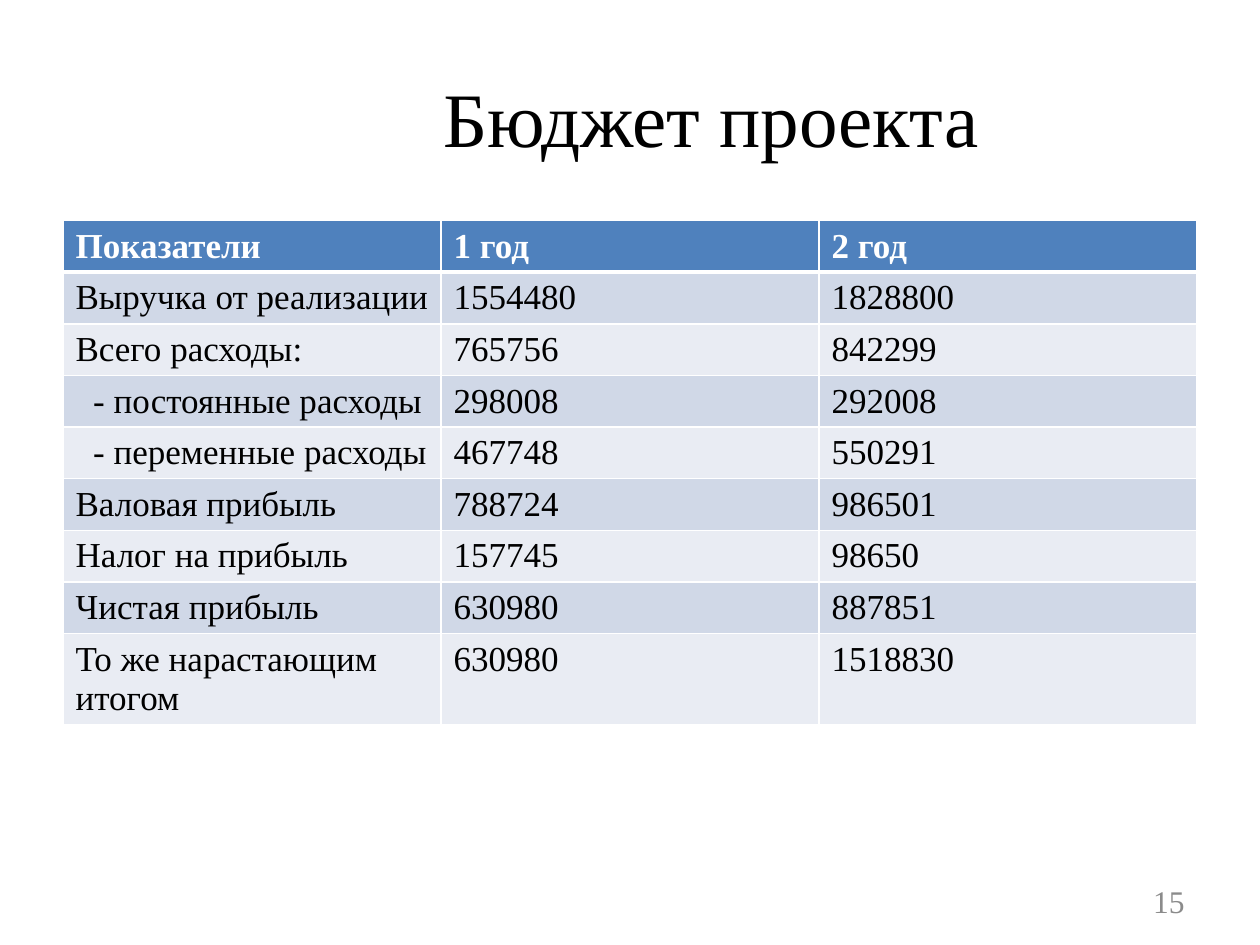
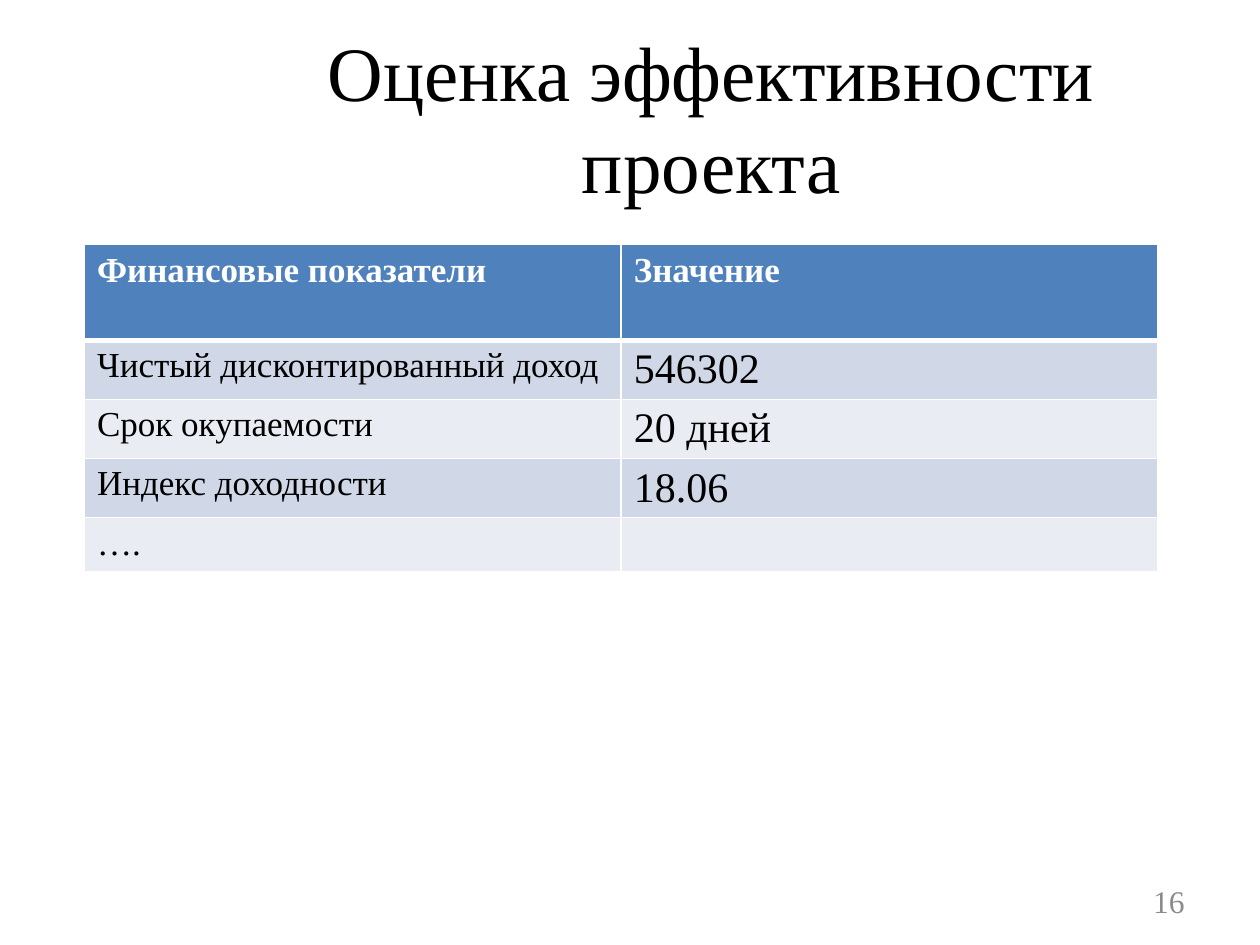
from pptx import Presentation
from pptx.dml.color import RGBColor
from pptx.enum.text import MSO_ANCHOR, MSO_AUTO_SIZE, PP_ALIGN
from pptx.oxml.ns import qn
from pptx.util import Inches, Pt
from lxml.etree import SubElement

FONT = "Times New Roman"
COLORS = {
    "text": "000000",
    "header": "4F81BD",
    "white": "FFFFFF",
    "band_dark": "D0D8E7",
    "band_light": "E9ECF3",
    "number": "8B8B8B",
}
TITLE_AREA = (1.79, 0.3, 7.71, 1.25)
NUMBER_AREA = (7.17, 6.95, 2.33, 0.4)
FIRST_NUMBER = 15
CELL_MARGIN, SUBITEM_MARGIN = 0.1, 0.24
THIN_BORDER, HEADER_BORDER = 0.96, 3

SLIDES = [
    {
        "title": "Бюджет проекта",
        "table_at": (0.5, 1.75),
        "column_width": 3,
        "row_heights": [0.41] * 8 + [0.72],
        "value_size": 20,
        "rows": [
            ("Показатели", "1 год", "2 год"),
            ("Выручка от реализации", "1554480", "1828800"),
            ("Всего расходы:", "765756", "842299"),
            ("- постоянные расходы", "298008", "292008"),
            ("- переменные расходы", "467748", "550291"),
            ("Валовая прибыль", "788724", "986501"),
            ("Налог на прибыль", "157745", "98650"),
            ("Чистая прибыль", "630980", "887851"),
            ("То же нарастающим итогом", "630980", "1518830"),
        ],
    },
    {
        "title": "Оценка эффективности проекта",
        "table_at": (0.67, 1.94),
        "column_width": 4.26,
        "row_heights": [0.76, 0.46, 0.43, 0.43, 0.43],
        "value_size": 24,
        "rows": [
            ("Финансовые показатели", "Значение"),
            ("Чистый дисконтированный доход", "546302"),
            ("Срок окупаемости", "20 дней"),
            ("Индекс доходности", "18.06"),
            ("….", ""),
        ],
    },
]


def color(name):
    return RGBColor.from_string(COLORS[name])


def write(frame, text, size, color_name, align=PP_ALIGN.LEFT, bold=False):
    para = frame.paragraphs[0]
    para.alignment = align
    span = para.add_run()
    span.text = text
    span.font.name = FONT
    span.font.size = Pt(size)
    span.font.bold = bold
    span.font.color.rgb = color(color_name)


def add_title(page, text):
    title = page.shapes.title
    title.left, title.top, title.width, title.height = map(Inches, TITLE_AREA)
    frame = title.text_frame
    frame.auto_size = MSO_AUTO_SIZE.NONE
    frame.vertical_anchor = MSO_ANCHOR.MIDDLE
    write(frame, text, 44, "text", PP_ALIGN.CENTER)


def add_page_number(page, number):
    frame = page.shapes.add_textbox(*map(Inches, NUMBER_AREA)).text_frame
    frame.word_wrap = True
    frame.vertical_anchor = MSO_ANCHOR.MIDDLE
    write(frame, str(number), 18, "number", PP_ALIGN.RIGHT)


def set_borders(cell, row_index):
    """Draw white lines, with a thick one between the header and the body."""
    widths = {
        "a:lnL": THIN_BORDER,
        "a:lnR": THIN_BORDER,
        "a:lnT": HEADER_BORDER if row_index == 1 else THIN_BORDER,
        "a:lnB": HEADER_BORDER if row_index == 0 else THIN_BORDER,
    }
    properties = cell._tc.get_or_add_tcPr()
    for tag, width in widths.items():
        line = SubElement(properties, qn(tag), w=str(Pt(width)))
        fill = SubElement(line, qn("a:solidFill"))
        SubElement(fill, qn("a:srgbClr"), val=COLORS["white"])


def format_cell(cell, text, row_index, size):
    is_header = row_index == 0
    band = "band_dark" if row_index % 2 else "band_light"
    set_borders(cell, row_index)
    cell.fill.solid()
    cell.fill.fore_color.rgb = color("header" if is_header else band)
    is_subitem = text.startswith("-")
    cell.margin_left = Inches(SUBITEM_MARGIN if is_subitem else CELL_MARGIN)
    if text:
        write(cell.text_frame, text, size, "white" if is_header else "text", bold=is_header)


def add_indicator_table(page, content):
    rows, heights = content["rows"], content["row_heights"]
    column_count = len(rows[0])
    size = (content["column_width"] * column_count, sum(heights))
    area = map(Inches, content["table_at"] + size)
    table = page.shapes.add_table(len(rows), column_count, *area).table
    for column in table.columns:
        column.width = Inches(content["column_width"])
    for row_index, (values, height) in enumerate(zip(rows, heights)):
        table.rows[row_index].height = Inches(height)
        for column_index, text in enumerate(values):
            is_value = row_index > 0 and column_index > 0
            text_size = content["value_size"] if is_value else 20
            format_cell(table.cell(row_index, column_index), text, row_index, text_size)


def main():
    deck = Presentation()
    deck.slide_width, deck.slide_height = Inches(10), Inches(7.5)
    title_only = deck.slide_layouts.get_by_name("Title Only")
    for number, content in enumerate(SLIDES, FIRST_NUMBER):
        page = deck.slides.add_slide(title_only)
        add_title(page, content["title"])
        add_indicator_table(page, content)
        add_page_number(page, number)
    deck.save("out.pptx")


if __name__ == "__main__":
    main()
